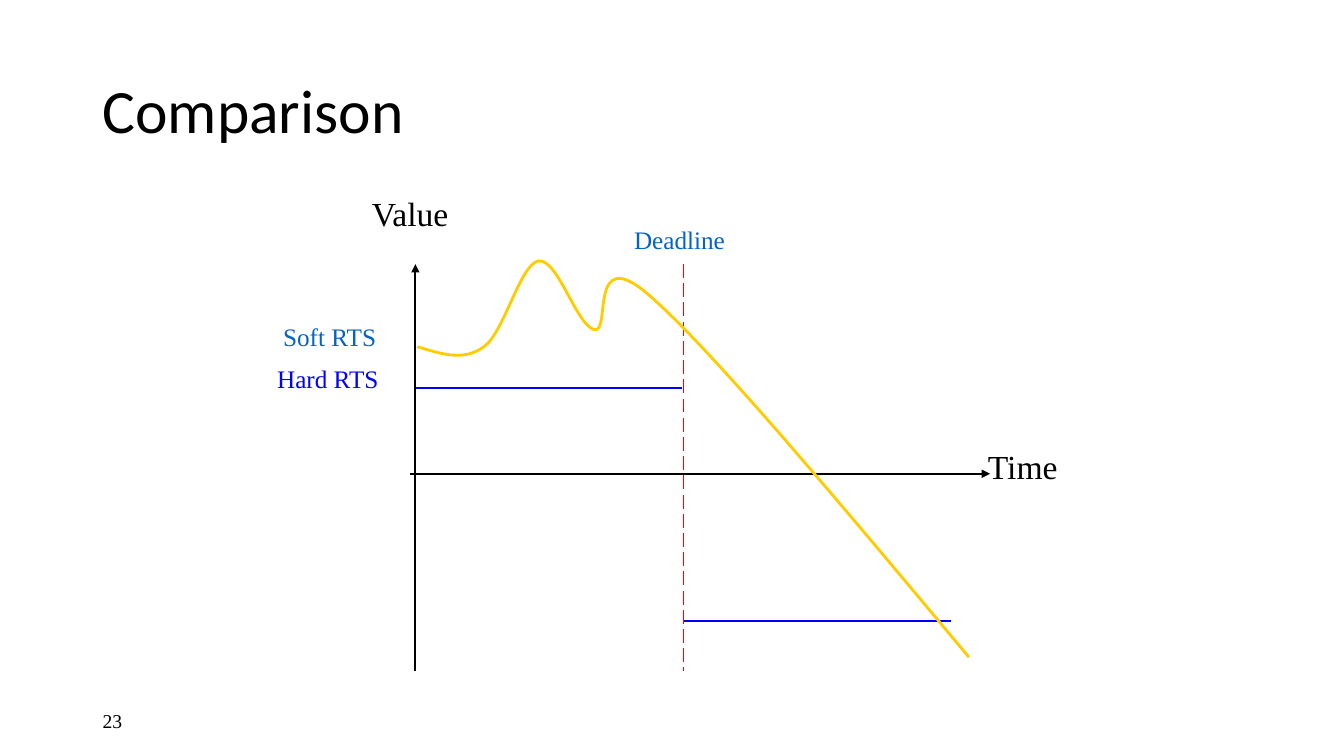
from lxml import etree
from pptx import Presentation
from pptx.dml.color import RGBColor
from pptx.enum.dml import MSO_LINE
from pptx.enum.shapes import MSO_CONNECTOR
from pptx.enum.text import MSO_ANCHOR, MSO_AUTO_SIZE
from pptx.oxml.ns import qn
from pptx.util import Emu, Pt

PX = 9144  # 100 px to the inch
BLACK = RGBColor(0x00, 0x00, 0x00)
BLUE = RGBColor(0x00, 0x00, 0xFF)
SKY = RGBColor(0x05, 0x63, 0xC1)
RED = RGBColor(0xFF, 0x00, 0x00)
YELLOW = RGBColor(0xFF, 0xCC, 0x00)
SANS, SERIF = "Calibri", "Times New Roman"
STRAIGHT = MSO_CONNECTOR.STRAIGHT
LONG_DASH = MSO_LINE.LONG_DASH
MIDDLE = MSO_ANCHOR.MIDDLE
FIT_SHAPE = MSO_AUTO_SIZE.SHAPE_TO_FIT_TEXT

TITLE = ("Comparison", (92, 40, 1150, 145), 44, SANS, BLACK)
PAGE_NUMBER = ("23", (92, 695, 300, 40), 14, SERIF, BLACK)
LABELS = [
    ("Time", (970, 437, 90, 50), 24, SERIF, BLACK),
    ("Value", (359, 186, 100, 50), 24, SERIF, BLACK),
    ("Hard RTS", (265, 356, 122, 40), 18, SERIF, BLUE),
    ("Soft RTS", (271, 314, 114, 40), 18, SERIF, SKY),
    ("Deadline", (619, 218, 110, 40), 18, SERIF, SKY),
]

TOP, BOTTOM = 262, 666
AXIS_X, AXIS_Y, DEADLINE_X = 412, 470, 678
# start, end, colour, width in points, arrow at end, dash
LINES = [
    ((AXIS_X, BOTTOM), (AXIS_X, TOP), BLACK, 1.5, True, None),
    ((407, AXIS_Y), (982, AXIS_Y), BLACK, 1.5, True, None),
    ((DEADLINE_X, TOP), (DEADLINE_X, BOTTOM), RED, 1.25, False, LONG_DASH),
    ((413, 385), (676, 385), BLUE, 2, False, None),
    ((DEADLINE_X, 616), (943, 616), BLUE, 2, False, None),
]

SOFT_START = (414, 344)
# two control points and an end point for each segment
SOFT_SEGMENTS = [
    ((437, 351), (460, 359), (480, 344)),
    ((500, 330), (516, 262), (534, 259)),
    ((553, 256), (571, 321), (589, 327)),
    ((607, 333), (582, 239), (644, 293)),
    ((706, 347), (834, 500), (961, 652)),
]


def px(n):
    return Emu(n * PX)


def add_text(slide, content, wrap):
    text, box, size, font, color = content
    tf = slide.shapes.add_textbox(*map(px, box)).text_frame
    tf.text = text
    tf.word_wrap = wrap
    if wrap:
        tf.vertical_anchor = MIDDLE
    else:
        tf.auto_size = FIT_SHAPE
    p = tf.paragraphs[0]
    r = p.runs[0]
    r.font.size, r.font.name = Pt(size), font
    r.font.color.rgb = color
    return p


def add_line(slide, start, end, color, width, arrow, dash):
    c = slide.shapes.add_connector(STRAIGHT, *map(px, start + end))
    c.line.color.rgb = color
    c.line.width = Pt(width)
    if dash:
        c.line.dash_style = dash
    spPr = c._element.spPr
    if arrow:
        etree.SubElement(spPr.find(qn("a:ln")), qn("a:tailEnd"), type="triangle")
    etree.SubElement(spPr, qn("a:effectLst"))


def add_curve(slide, start, segments, color, width):
    """Build an open freeform, then turn each three line points into a cubic."""
    points = [point for segment in segments for point in segment]
    builder = slide.shapes.build_freeform(*start, scale=PX)
    builder.add_line_segments(points, close=False)
    sp = builder.convert_to_shape()
    sp.shadow.inherit = False
    sp.fill.background()
    sp.line.color.rgb = color
    sp.line.width = Pt(width)
    steps = list(sp._element.iter(qn("a:lnTo")))
    for i in range(0, len(steps), 3):
        cubic = etree.Element(qn("a:cubicBezTo"))
        steps[i].addprevious(cubic)
        for step in steps[i:i + 3]:
            cubic.append(step[0])
            step.getparent().remove(step)


def main():
    prs = Presentation()
    prs.slide_width, prs.slide_height = px(1333), px(750)
    slide = prs.slides.add_slide(prs.slide_layouts[6])
    add_text(slide, PAGE_NUMBER, wrap=True)
    add_text(slide, TITLE, wrap=True).line_spacing = 0.9
    for label in LABELS:
        add_text(slide, label, wrap=False)
    for line in LINES:
        add_line(slide, *line)
    add_curve(slide, SOFT_START, SOFT_SEGMENTS, YELLOW, 2)
    prs.save("out.pptx")


if __name__ == "__main__":
    main()
